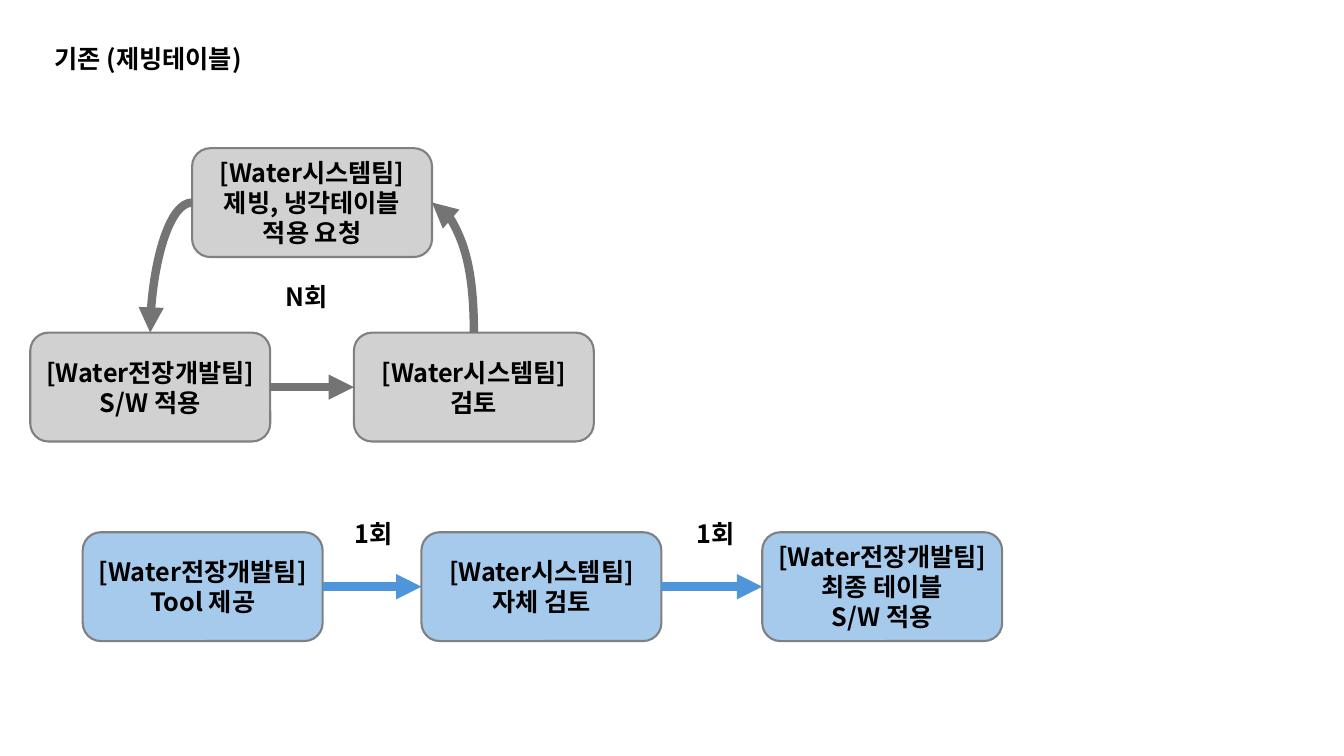
from lxml import etree
from pptx import Presentation
from pptx.dml.color import RGBColor
from pptx.enum.shapes import MSO_CONNECTOR as Connector, MSO_SHAPE as Shape
from pptx.enum.text import MSO_ANCHOR as Anchor, PP_ALIGN as Align
from pptx.oxml.ns import qn
from pptx.util import Inches, Pt

FONT = "Noto Sans CJK KR"
BLACK = RGBColor(0x00, 0x00, 0x00)
GRAY_FILL = RGBColor(0xD1, 0xD1, 0xD1)
GRAY_LINE = RGBColor(0x80, 0x80, 0x80)
GRAY_ARROW = RGBColor(0x74, 0x74, 0x74)
BLUE_FILL = RGBColor(0xA6, 0xCA, 0xEC)
BLUE_ARROW = RGBColor(0x4E, 0x95, 0xD9)

BOX_WIDTH, BOX_HEIGHT = 2.38, 1.08
TOP, LEFT, RIGHT = 0, 1, 3  # connection sites of a box

SYSTEM_TEAM = "[Water시스템팀]"
ELECTRONICS_TEAM = "[Water전장개발팀]"


def write_lines(frame, lines, align):
    frame.text = "\n".join(lines)
    for paragraph in frame.paragraphs:
        paragraph.alignment = align
        font = paragraph.font
        font.name, font.size, font.bold = FONT, Pt(18), True
        font.color.rgb = BLACK
        # Korean text takes the East Asian font
        properties = paragraph._p.pPr.find(qn("a:defRPr"))
        etree.SubElement(properties, qn("a:ea"), typeface=FONT)


def add_box(shapes, left, top, fill, lines):
    box = shapes.add_shape(Shape.ROUNDED_RECTANGLE, Inches(left), Inches(top),
                           Inches(BOX_WIDTH), Inches(BOX_HEIGHT))
    box.shadow.inherit = False
    box.fill.solid()
    box.fill.fore_color.rgb = fill
    box.line.color.rgb = GRAY_LINE
    box.line.width = Pt(1.5)
    box.text_frame.vertical_anchor = Anchor.MIDDLE
    write_lines(box.text_frame, lines, Align.CENTER)
    return box


def add_label(shapes, left, top, text):
    label = shapes.add_textbox(Inches(left), Inches(top), Inches(0.69), Inches(0.4))
    label.text_frame.word_wrap = True
    write_lines(label.text_frame, [text], Align.LEFT)


def add_arrow(shapes, start, start_site, end, end_site, color):
    arrow = shapes.add_connector(Connector.CURVE, 0, 0, 0, 0)
    arrow.begin_connect(start, start_site)
    arrow.end_connect(end, end_site)
    arrow.line.color.rgb = color
    arrow.line.width = Pt(6)
    properties = arrow._element.spPr
    etree.SubElement(properties.find(qn("a:ln")), qn("a:tailEnd"), type="triangle")
    etree.SubElement(properties, qn("a:effectLst"))
    if TOP in (start_site, end_site):
        properties.find(qn("a:prstGeom")).set("prst", "curvedConnector2")
    if start_site == TOP:
        turn_upward(arrow)


def turn_upward(arrow):
    """Rotate the arrow by 270 degrees about its centre, so that it starts upward."""
    left, top, width, height = arrow.left, arrow.top, arrow.width, arrow.height
    arrow.left = left + (width - height) // 2
    arrow.top = top + (height - width) // 2
    arrow.width, arrow.height = height, width
    transform = arrow._element.spPr.find(qn("a:xfrm"))
    for flip in ("flipH", "flipV"):
        transform.attrib.pop(flip, None)
    transform.set("rot", str(270 * 60000))
    transform.set("flipV", "1")


def add_title(slide, left, top):
    title = slide.shapes.title
    title.left, title.top = Inches(left), Inches(top)
    title.width, title.height = Inches(2.29), Inches(0.4)
    title.text_frame.word_wrap = False
    title.text_frame.vertical_anchor = Anchor.TOP
    write_lines(title.text_frame, ["기존 (제빙테이블)"], Align.LEFT)


def add_review_cycle(slide, left, top):
    """Three grey boxes in a loop that runs N times."""
    shapes = slide.shapes.add_group_shape().shapes
    step, drop = 3.21, 1.83
    request = add_box(shapes, left + step / 2, top, GRAY_FILL,
                      [SYSTEM_TEAM, "제빙, 냉각테이블", "적용 요청"])
    software = add_box(shapes, left, top + drop, GRAY_FILL,
                       [ELECTRONICS_TEAM, "S/W 적용"])
    review = add_box(shapes, left + step, top + drop, GRAY_FILL,
                     [SYSTEM_TEAM, "검토"])
    add_arrow(shapes, request, LEFT, software, TOP, GRAY_ARROW)
    add_arrow(shapes, software, RIGHT, review, LEFT, GRAY_ARROW)
    add_arrow(shapes, review, TOP, request, RIGHT, GRAY_ARROW)
    add_label(shapes, left + 2.43, top + 1.27, "N회")


def add_single_pass(slide, left, top):
    """Three blue boxes in a row, each step done once."""
    shapes = slide.shapes.add_group_shape().shapes
    steps = [
        (0, [ELECTRONICS_TEAM, "Tool 제공"]),
        (3.36, [SYSTEM_TEAM, "자체 검토"]),
        (6.74, [ELECTRONICS_TEAM, "최종 테이블", "S/W 적용"]),
    ]
    boxes = [add_box(shapes, left + offset, top, BLUE_FILL, lines)
             for offset, lines in steps]
    for start, end in zip(boxes, boxes[1:]):
        add_arrow(shapes, start, RIGHT, end, LEFT, BLUE_ARROW)
    for offset in (2.6, 5.99):
        add_label(shapes, left + offset, top - 0.19, "1회")


def main():
    presentation = Presentation()
    presentation.slide_width = Inches(13.33)
    presentation.slide_height = Inches(7.5)
    title_only = presentation.slide_layouts[5]
    slide = presentation.slides.add_slide(title_only)
    add_title(slide, 0.44, 0.38)
    add_review_cycle(slide, 0.3, 1.47)
    add_single_pass(slide, 0.82, 5.28)
    presentation.save("out.pptx")


if __name__ == "__main__":
    main()
